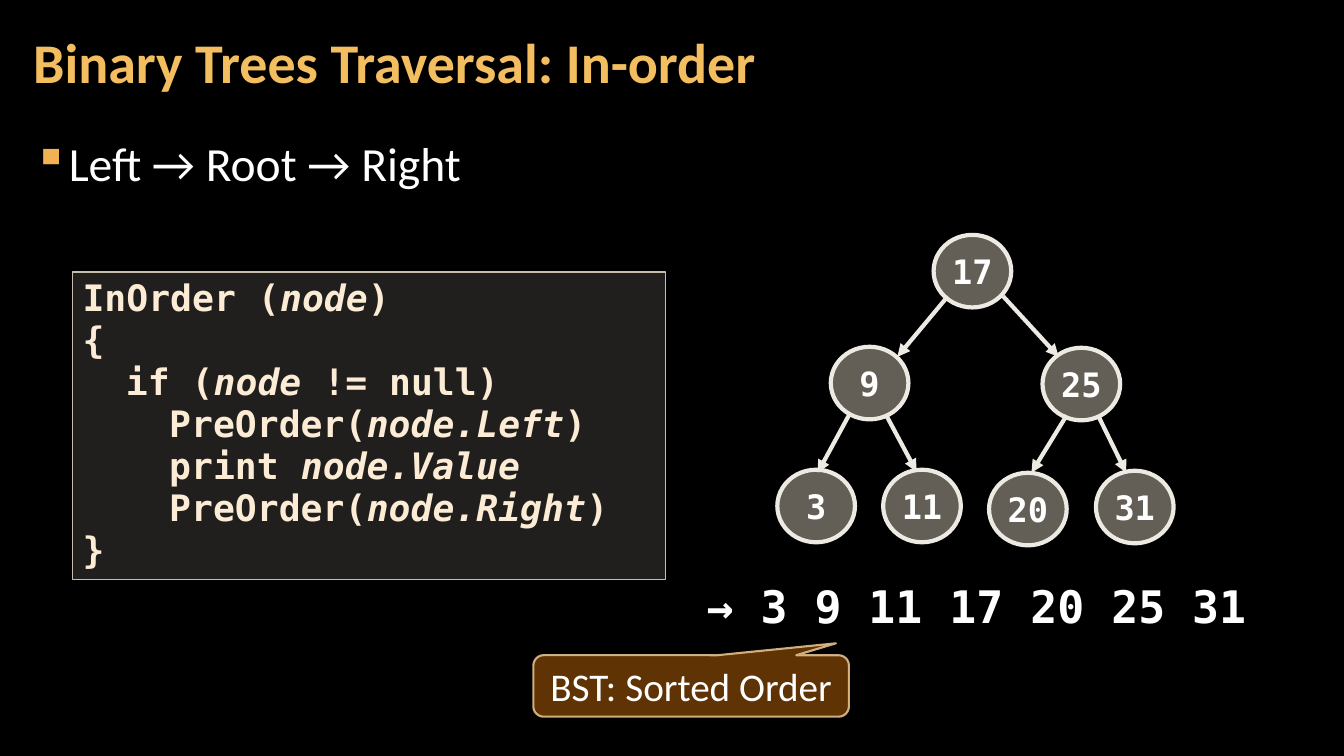
"""Build a slide on the in-order traversal of a binary tree."""
from lxml import etree
from pptx import Presentation
from pptx.dml.color import RGBColor
from pptx.enum.shapes import MSO_CONNECTOR, MSO_SHAPE
from pptx.enum.text import MSO_ANCHOR, PP_ALIGN
from pptx.oxml.ns import qn
from pptx.util import Inches, Pt

STRAIGHT = MSO_CONNECTOR.STRAIGHT
OVAL, RECTANGLE = MSO_SHAPE.OVAL, MSO_SHAPE.RECTANGLE
CALLOUT = MSO_SHAPE.ROUNDED_RECTANGULAR_CALLOUT
TOP, MIDDLE = MSO_ANCHOR.TOP, MSO_ANCHOR.MIDDLE
LEFT, CENTER = PP_ALIGN.LEFT, PP_ALIGN.CENTER
BODY_FONT, CODE_FONT = "Calibri", "DejaVu Sans Mono"
COLORS = {
    "background": "000000", "title": "F3BE60", "text": "FFFFFF",
    "bullet": "F2B254", "node": "C7BFAC", "edge": "ECEAE3",
    "panel": "D9D5C7", "code": "FCECD5", "callout": "663606",
    "callout_line": "F8D49E",
}
CODE_INDENT = 0.43
CODE_LINES = [
    (0, ["InOrder (", "node", ")"]),
    (0, ["{"]),
    (1, ["if (", "node", " != null)"]),
    (2, ["PreOrder(", "node.Left", ")"]),
    (2, ["print ", "node.Value"]),
    (2, ["PreOrder(", "node.Right", ")"]),
    (0, ["}"]),
]
NODE_SIZE = (0.77, 0.72)
NODES = {
    "17": (1.55, 0), "9": (0.53, 1.11), "25": (2.63, 1.12),
    "3": (0, 2.33), "11": (1.05, 2.33), "20": (2.1, 2.36), "31": (3.16, 2.34),
}
EDGES = [
    (1.69, 0.61, 1.19, 1.21), (2.24, 0.61, 2.79, 1.21),
    (0.71, 1.79, 0.4, 2.36), (1.08, 1.79, 1.38, 2.35),
    (2.87, 1.79, 2.52, 2.36), (3.18, 1.79, 3.46, 2.36),
]


def color(name):
    """Return the named colour."""
    return RGBColor.from_string(COLORS[name])


def set_alpha(shape, tag_path, percent):
    """Make the fill found under the shape properties partly transparent."""
    fill_color = shape.element.spPr.find("/".join(qn(tag) for tag in tag_path))
    etree.SubElement(fill_color, qn("a:alpha"), val=str(percent * 1000))


def add_run(paragraph, text, size, font, color_name, bold=False, italic=False):
    """Add one formatted run to a paragraph."""
    run = paragraph.add_run()
    run.text = text
    run.font.size = Pt(size)
    run.font.name = font
    run.font.bold = bold
    run.font.italic = italic
    run.font.color.rgb = color(color_name)


def add_text_box(slide, box, anchor=TOP, side_margin=0.1, edge_margin=0.05):
    """Add a wrapping text box and return its first paragraph."""
    frame = slide.shapes.add_textbox(*map(Inches, box)).text_frame
    frame.word_wrap = True
    frame.vertical_anchor = anchor
    frame.margin_left = frame.margin_right = Inches(side_margin)
    frame.margin_top = frame.margin_bottom = Inches(edge_margin)
    return frame.paragraphs[0]


def add_panel(slide, kind, box, fill, opacity, line, width):
    """Add a translucent filled shape with an outline."""
    shape = slide.shapes.add_shape(kind, *map(Inches, box))
    shape.shadow.inherit = False
    shape.fill.solid()
    shape.fill.fore_color.rgb = color(fill)
    set_alpha(shape, ["a:solidFill", "a:srgbClr"], opacity)
    shape.line.color.rgb = color(line)
    shape.line.width = Pt(width)
    return shape


def add_title(slide, box):
    """Add the slide title."""
    paragraph = add_text_box(slide, box, MIDDLE, 0.12, 0.04)
    paragraph.line_spacing = 0.9
    add_run(paragraph, "Binary Trees Traversal: In-order", 40, BODY_FONT, "title", True)


def space_body(paragraph):
    """Apply the body text spacing."""
    paragraph.line_spacing = 1.05
    paragraph.space_before = paragraph.space_after = Pt(6)


def add_bullet(slide, box):
    """Add the bulleted visiting order."""
    paragraph = add_text_box(slide, box, TOP, 0.12, 0.04)
    space_body(paragraph)
    properties = paragraph._p.get_or_add_pPr()
    properties.set("marL", str(Inches(0.33)))
    properties.set("indent", str(-Inches(0.33)))
    bullet_color = etree.SubElement(properties, qn("a:buClr"))
    etree.SubElement(bullet_color, qn("a:srgbClr"), val=COLORS["bullet"])
    etree.SubElement(properties, qn("a:buChar"), char="▪")
    add_run(paragraph, "Left → Root → Right", 34, BODY_FONT, "text")


def add_code(slide, box):
    """Add the code panel, with node names in italics."""
    panel = add_panel(slide, RECTANGLE, box, "panel", 15, "node", 1)
    frame = panel.text_frame
    frame.word_wrap = True
    frame.vertical_anchor = TOP
    for index, (level, parts) in enumerate(CODE_LINES):
        paragraph = frame.add_paragraph() if index else frame.paragraphs[0]
        paragraph.alignment = LEFT
        paragraph.line_spacing = Pt(30)
        margin = Inches(CODE_INDENT * level)
        paragraph._p.get_or_add_pPr().set("marL", str(margin))
        for part in parts:
            add_run(paragraph, part, 26, CODE_FONT, "code", True, part.startswith("node"))


def add_edge(slide, start_x, start_y, end_x, end_y):
    """Add an arrow between two tree nodes."""
    points = map(Inches, (start_x, start_y, end_x, end_y))
    edge = slide.shapes.add_connector(STRAIGHT, *points)
    edge.line.color.rgb = color("edge")
    edge.line.width = Pt(3)
    etree.SubElement(edge.line._get_or_add_ln(), qn("a:tailEnd"), type="triangle")
    etree.SubElement(edge.element.spPr, qn("a:effectLst"))


def add_tree(slide, left, top):
    """Add the tree's nodes and arrows from its upper left corner."""
    for value, (x, y) in NODES.items():
        box = (left + x, top + y, *NODE_SIZE)
        node = add_panel(slide, OVAL, box, "node", 50, "edge", 3)
        frame = node.text_frame
        frame.word_wrap = False
        frame.vertical_anchor = MIDDLE
        frame.paragraphs[0].alignment = CENTER
        add_run(frame.paragraphs[0], value, 24, CODE_FONT, "text", True)
    for start_x, start_y, end_x, end_y in EDGES:
        add_edge(slide, left + start_x, top + start_y, left + end_x, top + end_y)


def add_result(slide, box):
    """Add the sequence of visited values."""
    paragraph = add_text_box(slide, box)
    space_body(paragraph)
    add_run(paragraph, "→ 3 9 11 17 20 25 31", 32, CODE_FONT, "text", True)


def add_callout(slide, box):
    """Add the callout that points at the result."""
    callout = add_panel(slide, CALLOUT, box, "callout", 95, "callout_line", 1.5)
    set_alpha(callout, ["a:ln", "a:solidFill", "a:srgbClr"], 80)
    for index, value in enumerate((0.459, -0.694, 0.167)):
        callout.adjustments[index] = value
    frame = callout.text_frame
    frame.word_wrap = True
    frame.vertical_anchor = MIDDLE
    frame.paragraphs[0].alignment = CENTER
    add_run(frame.paragraphs[0], "BST: Sorted Order", 28, BODY_FONT, "text")


def main():
    """Build and save the presentation."""
    presentation = Presentation()
    presentation.slide_width = Inches(13.33)
    presentation.slide_height = Inches(7.5)
    slide = presentation.slides.add_slide(presentation.slide_layouts[6])
    slide.background.fill.solid()
    slide.background.fill.fore_color.rgb = color("background")
    add_title(slide, (0.21, 0.04, 10.47, 1.21))
    add_bullet(slide, (0.21, 1.26, 12.91, 6.09))
    add_tree(slide, 7.71, 2.33)
    add_result(slide, (6.91, 5.67, 5.58, 0.64))
    add_callout(slide, (5.29, 6.5, 3.13, 0.61))
    add_code(slide, (0.72, 2.7, 5.88, 3.05))
    presentation.save("out.pptx")


if __name__ == "__main__":
    main()
